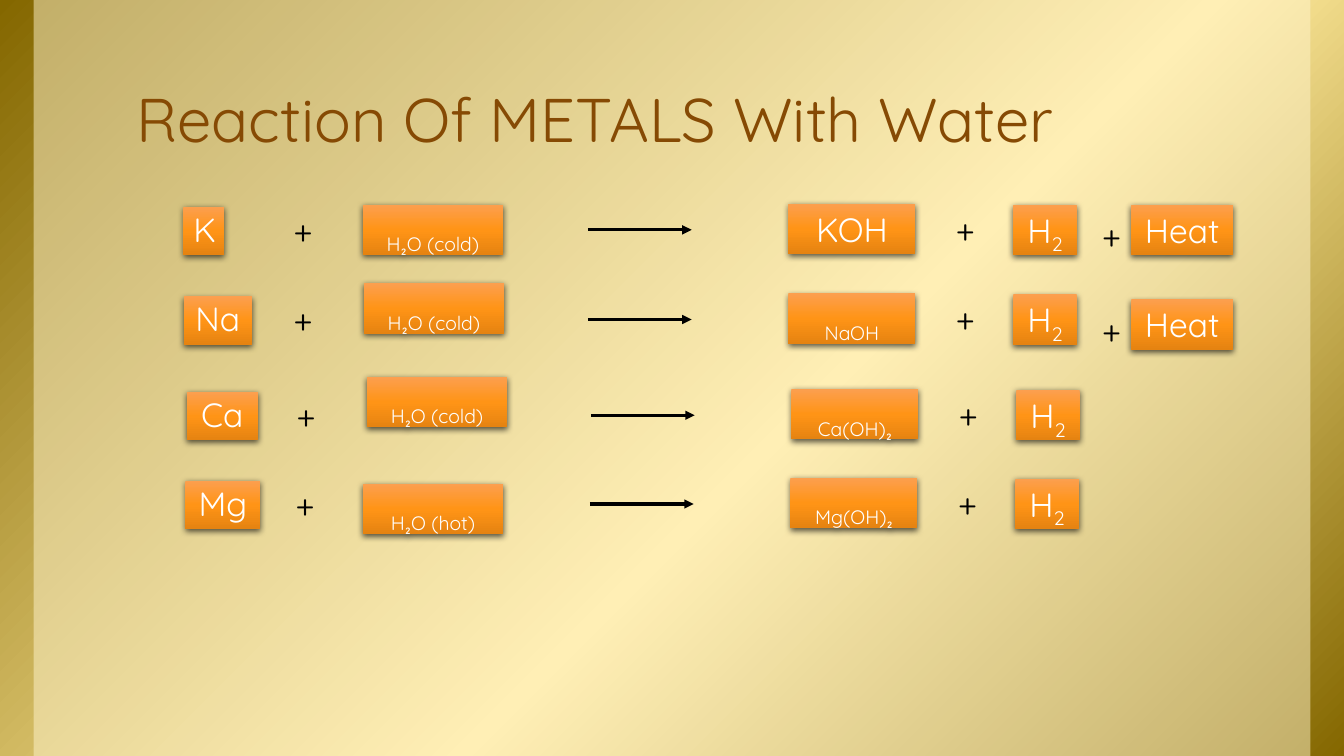
from collections import namedtuple

from lxml.etree import SubElement
from pptx import Presentation
from pptx.dml.color import RGBColor
from pptx.enum.shapes import MSO_CONNECTOR, MSO_SHAPE
from pptx.enum.text import MSO_ANCHOR as Anchor, MSO_AUTO_SIZE as AutoSize, PP_ALIGN as Align
from pptx.oxml.ns import qn
from pptx.util import Inches, Pt

WIDTH, HEIGHT = 13.33, 7.5
FONT = "Quicksand"
WHITE, BLACK, BROWN, CREAM = "FFFFFF", "000000", "864A04", "FFF4CE"
GOLD = [(0, "846700"), (58, "FFEA9C"), (100, "846700")]
ORANGE = [(0, "FC9F4F"), (50, "FF9416"), (100, "E58311")]

Column = namedtuple("Column", "left width drop height")
COLUMNS = {
    "metal": Column(1.82, 0, 0.01, 0.48),
    "first plus": Column(2.8, 0.41, 0.01, 0.48),
    "water": Column(3.6, 1.39, 0, 0.5),
    "arrow": Column(5.83, 1.03, 0.24, 0),
    "product": Column(7.82, 1.26, -0.02, 0.5),
    "second plus": Column(9.37, 0.41, 0, 0.48),
    "hydrogen": Column(10.05, 0.63, -0.01, 0.5),
    "heat plus": Column(10.82, 0.41, 0.06, 0.48),
    "heat": Column(11.22, 1.01, -0.01, 0.5),
}

Reaction = namedtuple(
    "Reaction", "metal metal_width water water_shift water_drop product lowered top shift heat_drop")
REACTIONS = [
    Reaction("K", 0.4, "H₂O (cold)", 0, -0.01, "KOH", False, 2.04, 0, 0),
    Reaction("Na", 0.68, "H₂O (cold)", 0.01, -0.12, "NaOH", True, 2.93, 0, 0.05),
    Reaction("Ca", 0.71, "H₂O (cold)", 0.04, -0.14, "Ca(OH)₂", True, 3.88, 0.03, None),
    Reaction("Mg", 0.74, "H₂O (hot)", 0, 0.04, "Mg(OH)₂", True, 4.76, 0.02, None),
]


def rgb(value):
    return RGBColor.from_string(value)


def apply(target, values):
    for name, value in values.items():
        setattr(target, name, value)


def cell(column, top, shift=0, drop=0, width=None):
    place = COLUMNS[column]
    return (place.left + shift, top + place.drop + drop,
            width or place.width, place.height)


def fill_gradient(shape, stops, angle):
    shape.fill.gradient()
    shape.fill.gradient_angle = 360 - angle
    stop_list = shape.fill._xPr.find(qn("a:gradFill")).find(qn("a:gsLst"))
    for stop in list(stop_list):
        stop_list.remove(stop)
    for position, colour in stops:
        stop = SubElement(stop_list, qn("a:gs"), pos=str(position * 1000))
        SubElement(stop, qn("a:srgbClr"), val=colour)


def add_rectangle(slide, box):
    rectangle = slide.shapes.add_shape(MSO_SHAPE.RECTANGLE, *map(Inches, box))
    rectangle.shadow.inherit = False
    rectangle.line.fill.background()
    return rectangle


def add_background(slide):
    outer = add_rectangle(slide, (0, 0, WIDTH, HEIGHT))
    fill_gradient(outer, GOLD, 45)
    margin = WIDTH * 0.025
    panel = add_rectangle(slide, (margin, 0, WIDTH * 0.95, HEIGHT))
    panel.fill.solid()
    panel.fill.fore_color.rgb = rgb(CREAM)
    SubElement(panel._element.spPr.find(qn("a:solidFill"))[0], qn("a:alpha"), val="50000")
    for depth, layer in enumerate((outer, panel), 2):
        slide.shapes._spTree.insert(depth, layer._element)


def add_title(slide, words):
    title = slide.shapes.title
    apply(title, dict(left=Inches(1.22), top=Inches(0.08),
                      width=Inches(11.11), height=Inches(1.53)))
    frame = title.text_frame
    apply(frame, dict(
        text=words, auto_size=AutoSize.NONE, vertical_anchor=Anchor.BOTTOM,
        margin_left=Inches(0.13), margin_right=Inches(0.13),
        margin_top=Inches(0.07), margin_bottom=Inches(0.07)))
    paragraph = frame.paragraphs[0]
    apply(paragraph, dict(alignment=Align.LEFT, line_spacing=0.85))
    apply(paragraph.runs[0].font, dict(name=FONT, size=Pt(44)))
    paragraph.runs[0].font.color.rgb = rgb(BROWN)


def write(shape, pieces, colour, wrap):
    frame = shape.text_frame
    apply(frame, dict(word_wrap=wrap, auto_size=AutoSize.SHAPE_TO_FIT_TEXT,
                      vertical_anchor=Anchor.TOP))
    paragraph = frame.paragraphs[0]
    apply(paragraph, dict(alignment=Align.CENTER, line_spacing=1.0 if wrap else 0.95))
    for words, lowered in pieces:
        run = paragraph.add_run()
        run.text = words
        apply(run.font, dict(name=FONT, size=Pt(24)))
        run.font.color.rgb = rgb(colour)
        if lowered:
            run._r.get_or_add_rPr().set("baseline", "-25000")


def add_substance(slide, box, pieces, wrap=True):
    substance = add_rectangle(slide, box)
    fill_gradient(substance, ORANGE, 90)
    effects = substance._element.spPr.find(qn("a:effectLst"))
    shadow = SubElement(effects, qn("a:outerShdw"), blurRad=str(Pt(4.5)),
                        dist=str(Pt(1.5)), dir="5400000", rotWithShape="0")
    shade = SubElement(shadow, qn("a:srgbClr"), val=BLACK)
    SubElement(shade, qn("a:alpha"), val="63000")
    write(substance, pieces, WHITE, wrap)


def add_plus(slide, box):
    plus = slide.shapes.add_textbox(*map(Inches, box))
    write(plus, [("+", False)], BLACK, False)


def add_arrow(slide, box):
    left, top, width, _ = box
    arrow = slide.shapes.add_connector(
        MSO_CONNECTOR.STRAIGHT, *map(Inches, (left, top, left + width, top)))
    arrow.line.color.rgb = rgb(BLACK)
    arrow.line.width = Pt(2.25)
    properties = arrow._element.spPr
    SubElement(properties.find(qn("a:ln")), qn("a:tailEnd"), type="triangle")
    SubElement(properties, qn("a:effectLst"))


def add_reaction(slide, reaction):
    top, shift = reaction.top, reaction.shift
    add_substance(slide, cell("metal", top, shift, width=reaction.metal_width),
                  [(reaction.metal, False)], wrap=False)
    add_plus(slide, cell("first plus", top, shift))
    add_substance(slide, cell("water", top, reaction.water_shift, reaction.water_drop),
                  [(reaction.water, True)])
    add_arrow(slide, cell("arrow", top, shift))
    add_substance(slide, cell("product", top, shift), [(reaction.product, reaction.lowered)])
    add_plus(slide, cell("second plus", top, shift))
    add_substance(slide, cell("hydrogen", top, shift), [("H", False), ("2", True)])
    if reaction.heat_drop is not None:
        add_plus(slide, cell("heat plus", top, drop=reaction.heat_drop))
        add_substance(slide, cell("heat", top, drop=reaction.heat_drop), [("Heat", False)])


def main():
    deck = Presentation()
    apply(deck, dict(slide_width=Inches(WIDTH), slide_height=Inches(HEIGHT)))
    slide = deck.slides.add_slide(deck.slide_layouts[5])
    add_background(slide)
    add_title(slide, "Reaction Of METALS With Water")
    for reaction in REACTIONS:
        add_reaction(slide, reaction)
    deck.save("out.pptx")


if __name__ == "__main__":
    main()
